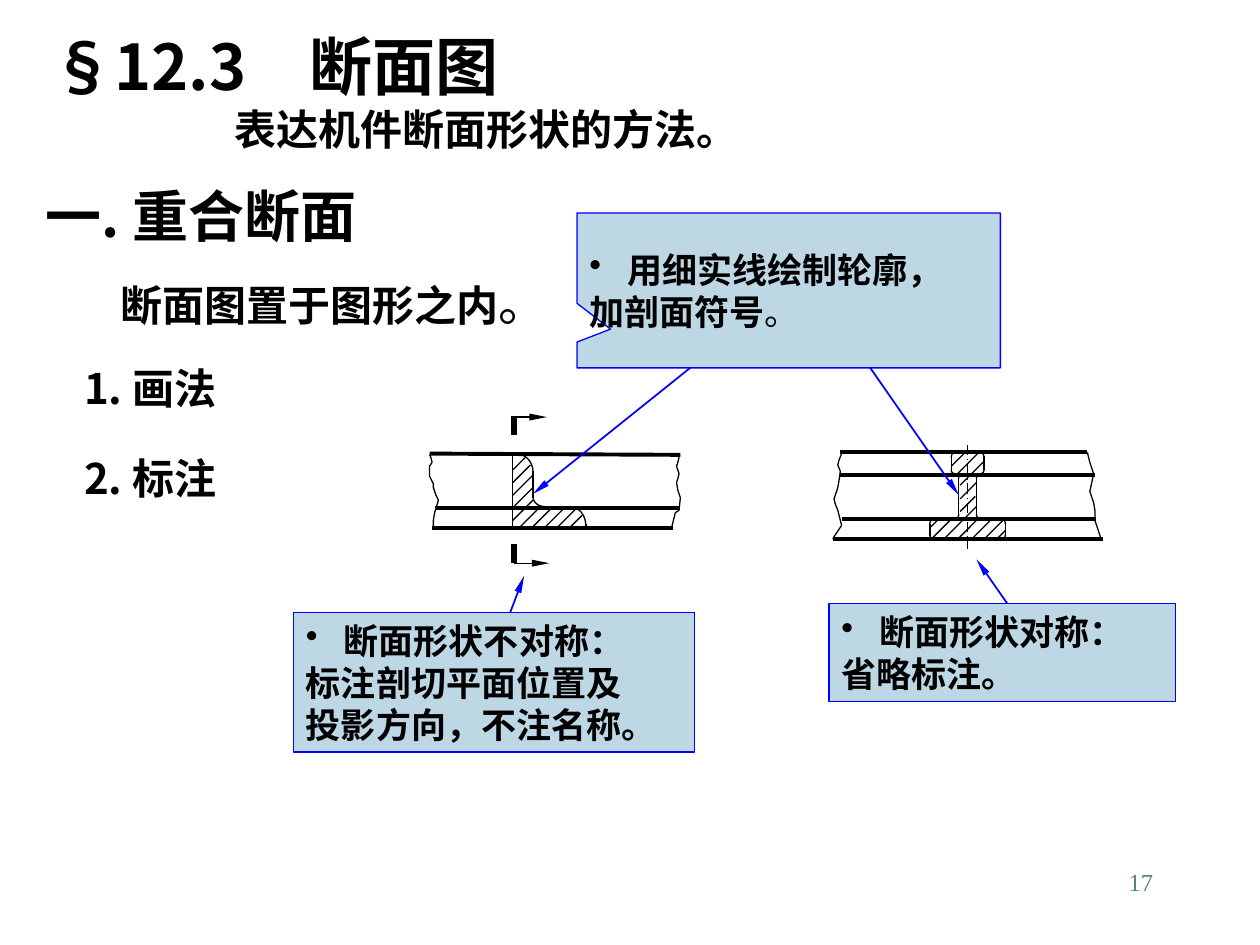
import math
from typing import NamedTuple, Optional, Sequence

import pptx
import pptx.dml.color
import pptx.enum.dml
import pptx.enum.shapes
import pptx.enum.text
import pptx.oxml.xmlchemy
import pptx.util
from pptx.util import Inches

BLACK = pptx.dml.color.RGBColor(0x00, 0x00, 0x00)
BLUE = pptx.dml.color.RGBColor(0x00, 0x00, 0xFF)
PALE_BLUE = pptx.dml.color.RGBColor(0xBD, 0xD7, 0xE5)
GREEN = pptx.dml.color.RGBColor(0x57, 0x89, 0x63)
CJK_FONT = "Noto Sans CJK SC"
THIN, THICK, CUT = 0.75, 2.25, 3
MIDDLE = pptx.enum.text.MSO_ANCHOR.MIDDLE
TOP = pptx.enum.text.MSO_ANCHOR.TOP
RECTANGLE = pptx.enum.shapes.MSO_SHAPE.RECTANGLE
CALLOUT = pptx.enum.shapes.MSO_SHAPE.RECTANGULAR_CALLOUT

Point = tuple[float, float]


class Run(NamedTuple):
    text: str
    size: float
    bold: bool = True
    font: str = CJK_FONT
    color: pptx.dml.color.RGBColor = BLACK


class Line(NamedTuple):
    runs: Sequence[Run]
    indent: float = 0
    bullet: bool = False


class Box(NamedTuple):
    left: float
    top: float
    width: float
    height: float
    lines: Sequence[Line]
    anchor: pptx.enum.text.MSO_ANCHOR = TOP


class Note(NamedTuple):
    box: Box
    outline: pptx.enum.shapes.MSO_SHAPE = RECTANGLE
    adjustments: Sequence[float] = ()


def note_lines(*texts: str) -> list[Line]:
    return [Line([Run(text, 20)], 0.3 if i == 0 else 0, i == 0)
            for i, text in enumerate(texts)]


HEADINGS = [
    Box(0.26, 1.39, 9.74, 0.63, [Line([Run("一. 重合断面", 32)])]),
    Box(0.64, 2.11, 6.96, 0.57,
        [Line([Run("断面图置于图形之内", 24), Run("。", 28, False)], 0.22)]),
    Box(0.57, 2.83, 9.43, 0.5, [Line([Run("1. 画法", 24)])]),
    Box(0.57, 3.54, 9.43, 0.5, [Line([Run("2. 标注", 24)])]),
    Box(0.31, 0.17, 9.69, 1.1,
        [Line([Run("§12.3　断面图", 36)]),
         Line([Run("表达机件断面形状的方法。", 24)], 1.45)], MIDDLE),
]
DRAWING_NOTE = [*note_lines("用细实线绘制轮廓，"),
                Line([Run("加剖面符号", 20), Run("。", 20, False)])]
NOTES = [
    Note(Box(4.58, 1.69, 3.36, 1.23, DRAWING_NOTE, MIDDLE), CALLOUT, (-0.421, 0.25)),
    Note(Box(6.58, 4.79, 2.75, 0.78, note_lines("断面形状对称：", "省略标注。"), MIDDLE)),
    Note(Box(2.33, 4.86, 3.18, 1.11, note_lines(
        "断面形状不对称：", "标注剖切平面位置及", "投影方向，不注名称。"), MIDDLE)),
]
NOTE_ARROWS = [((3.89, 5.28), (4.16, 4.57)), ((5.49, 2.91), (4.23, 3.92)),
               ((6.9, 2.91), (7.61, 3.93)), ((8.42, 5.4), (7.75, 4.44))]
BAR_EDGES = [
    ((3.41, 3.6), (5.4, 3.61)), ((3.45, 4.03), (5.4, 4.03)), ((3.43, 4.19), (5.34, 4.19)),
    ((6.67, 3.59), (8.63, 3.59)), ((6.67, 3.77), (8.69, 3.77)),
    ((6.68, 4.12), (8.7, 4.12)), ((6.61, 4.28), (8.75, 4.28)),
]
BREAK_LINES = [
    [(3.41, 3.61), (3.42, 3.63), (3.43, 3.67), (3.41, 3.7), (3.41, 3.78), (3.44, 3.84),
     (3.44, 3.87), (3.46, 3.93), (3.48, 3.97), (3.45, 4.07), (3.44, 4.13), (3.44, 4.19)],
    [(5.39, 3.61), (5.39, 3.63), (5.38, 3.67), (5.37, 3.7), (5.39, 3.76), (5.38, 3.8),
     (5.37, 3.83), (5.38, 3.89), (5.4, 3.95), (5.39, 4.05), (5.36, 4.07), (5.33, 4.19)],
    [(6.68, 3.6), (6.66, 3.65), (6.65, 3.69), (6.67, 3.74), (6.66, 3.81), (6.65, 3.87),
     (6.62, 3.96), (6.63, 4.0), (6.65, 4.05), (6.68, 4.17), (6.62, 4.26), (6.61, 4.28)],
    [(8.63, 3.59), (8.65, 3.67), (8.68, 3.76), (8.65, 3.9), (8.68, 3.99), (8.69, 4.05),
     (8.69, 4.13), (8.74, 4.28)],
]
ANGLE_OUTLINE = [(4.07, 3.61), (4.07, 4.19), (4.65, 4.19)]
ANGLE_EDGES = [((4.23, 3.74), (4.23, 3.95)), ((4.32, 4.02), (4.52, 4.02)),
               ((4.07, 3.61), (4.09, 3.61)), ((4.65, 4.16), (4.65, 4.19))]
# Rounded corners: start, end, and the sharp corner they replace.
ANGLE_CORNERS = [((4.09, 3.6), (4.23, 3.74), (4.23, 3.6)),
                 ((4.52, 4.02), (4.65, 4.17), (4.65, 4.02)),
                 ((4.32, 4.02), (4.23, 3.94), (4.23, 4.02))]
# The rail is symmetric: x is the distance from its axis.
RAIL_AXIS = 7.68
RAIL_EDGES = [((0.13, 3.62), (0.13, 3.73)), ((0.07, 3.8), (0.07, 4.09)),
              ((0.1, 4.12), (0.27, 4.12)), ((0.3, 4.16), (0.3, 4.25))]
RAIL_CORNERS = [((0.1, 3.59), (0.13, 3.63), (0.13, 3.59)),
                ((0.1, 3.76), (0.13, 3.73), (0.13, 3.76)),
                ((0.1, 3.76), (0.07, 3.8), (0.07, 3.76)),
                ((0.1, 4.12), (0.07, 4.08), (0.07, 4.12)),
                ((0.27, 4.12), (0.3, 4.16), (0.3, 4.12)),
                ((0.27, 4.28), (0.3, 4.24), (0.3, 4.28))]
# Hatch lines rise at 45 degrees: lower x, lower y, run.
ANGLE_HATCH = [
    *((4.07, 3.73 + 0.1 * i, run) for i, run in enumerate((0.1, 0.14, 0.16, 0.16, 0.16))),
    *((4.12 + 0.1 * i, 4.19, run) for i, run in enumerate((0.17, 0.17, 0.17, 0.15, 0.1))),
]
RAIL_HATCH = [
    (7.55, 3.7, 0.11), (7.6, 3.76, 0.17), (7.62, 3.85, 0.19), (7.62, 3.96, 0.13),
    (7.62, 4.06, 0.12), (7.38, 4.19, 0.06), (7.39, 4.28, 0.16), (7.49, 4.28, 0.26),
    (7.6, 4.28, 0.16), (7.71, 4.28, 0.16), (7.81, 4.28, 0.16), (7.91, 4.28, 0.07),
]


def add_xml(parent, tag: str, **attributes: str) -> None:
    child = pptx.oxml.xmlchemy.OxmlElement(tag)
    for key, value in attributes.items():
        child.set(key, value)
    parent.append(child)


def write(frame, box: Box, align: Optional[pptx.enum.text.PP_ALIGN] = None) -> None:
    settings = {"word_wrap": True, "vertical_anchor": box.anchor,
                "margin_left": Inches(0.1), "margin_right": Inches(0.1),
                "margin_top": Inches(0.05), "margin_bottom": Inches(0.05)}
    for key, value in settings.items():
        setattr(frame, key, value)
    for i, line in enumerate(box.lines):
        paragraph = frame.paragraphs[0] if i == 0 else frame.add_paragraph()
        properties = paragraph._p.get_or_add_pPr()
        properties.set("marL", str(Inches(line.indent)))
        properties.set("indent", str(Inches(-line.indent if line.bullet else 0)))
        if line.bullet:
            add_xml(properties, "a:buChar", char="•")
        paragraph.alignment = align or pptx.enum.text.PP_ALIGN.LEFT
        for part in line.runs:
            run = paragraph.add_run()
            run.text = part.text
            style = {"size": pptx.util.Pt(part.size), "bold": part.bold, "name": part.font}
            for key, value in style.items():
                setattr(run.font, key, value)
            run.font.color.rgb = part.color
            add_xml(run._r.get_or_add_rPr(), "a:ea", typeface=part.font)


def add_text(shapes, box: Box, align=None) -> None:
    area = shapes.add_textbox(*map(Inches, box[:4]))
    write(area.text_frame, box, align)


def add_note(shapes, note: Note) -> None:
    panel = shapes.add_shape(note.outline, *map(Inches, note.box[:4]))
    for i, value in enumerate(note.adjustments):
        panel.adjustments[i] = value
    panel.shadow.inherit = False
    panel.fill.solid()
    panel.fill.fore_color.rgb = PALE_BLUE
    panel.line.color.rgb = BLUE
    panel.line.width = pptx.util.Pt(THIN)
    write(panel.text_frame, note.box)


def add_line(shapes, start: Point, end: Point, width: float = THIN, color=BLACK,
             arrow: bool = False, dash=None) -> None:
    stroke = shapes.add_connector(pptx.enum.shapes.MSO_CONNECTOR.STRAIGHT,
                                  *map(Inches, (*start, *end)))
    stroke.line.color.rgb = color
    stroke.line.width = pptx.util.Pt(width)
    if dash is not None:
        stroke.line.dash_style = dash
    if arrow:
        add_xml(stroke.line._get_or_add_ln(), "a:tailEnd", type="triangle", w="sm", len="lg")
    add_xml(stroke._element.spPr, "a:effectLst")


def add_path(shapes, points: Sequence[Point]) -> None:
    corners = [(Inches(x), Inches(y)) for x, y in points]
    builder = shapes.build_freeform(*corners[0])
    builder.add_line_segments(corners[1:], close=False)
    curve = builder.convert_to_shape()
    curve.shadow.inherit = False
    curve.fill.background()
    curve.line.color.rgb = BLACK
    curve.line.width = pptx.util.Pt(THIN)


def add_corner(shapes, start: Point, end: Point, corner: Point, steps: int = 8) -> None:
    """Draw a quarter ellipse that rounds off the given sharp corner."""
    angles = [math.pi / 2 * i / steps for i in range(steps + 1)]
    add_path(shapes, [tuple(s + e - c + (c - e) * math.cos(a) + (c - s) * math.sin(a)
                            for s, e, c in zip(start, end, corner)) for a in angles])


def add_hatch(shapes, lines: Sequence[tuple[float, float, float]]) -> None:
    for x, y, run in lines:
        add_line(shapes, (x, y), (x + run, y - run))


def add_angle_section(shapes) -> None:
    add_path(shapes, ANGLE_OUTLINE)
    for corner in ANGLE_CORNERS:
        add_corner(shapes, *corner)
    for edge in ANGLE_EDGES:
        add_line(shapes, *edge)
    add_hatch(shapes, ANGLE_HATCH)
    for y in (3.3, 4.32):
        add_line(shapes, (4.08, y), (4.08, y + 0.15), CUT)
    for x, y in ((4.06, 3.31), (4.08, 4.47)):
        add_line(shapes, (x, y), (x + 0.28, y), arrow=True)


def add_rail_section(shapes) -> None:
    add_line(shapes, (RAIL_AXIS, 3.53), (RAIL_AXIS, 4.36),
             dash=pptx.enum.dml.MSO_LINE.LONG_DASH_DOT)
    for half, y in ((0.1, 3.59), (0.27, 4.28)):
        add_line(shapes, (RAIL_AXIS - half, y), (RAIL_AXIS + half, y))
    for side in (-1, 1):
        for draw, parts in ((add_line, RAIL_EDGES), (add_corner, RAIL_CORNERS)):
            for part in parts:
                draw(shapes, *((RAIL_AXIS + side * x, y) for x, y in part))
    add_hatch(shapes, RAIL_HATCH)


def main() -> None:
    deck = pptx.Presentation()
    deck.slide_width, deck.slide_height = Inches(10), Inches(7.5)
    shapes = deck.slides.add_slide(deck.slide_layouts[6]).shapes
    page_number = Run("17", 14, False, "Times New Roman", GREEN)
    add_text(shapes, Box(7.17, 6.83, 2.08, 0.5, [Line([page_number])]),
             pptx.enum.text.PP_ALIGN.RIGHT)
    for heading in HEADINGS:
        add_text(shapes, heading)
    for edge in BAR_EDGES:
        add_line(shapes, *edge, THICK)
    for outline in BREAK_LINES:
        add_path(shapes, outline)
    add_angle_section(shapes)
    add_rail_section(shapes)
    # The notes cover the arrow tails, so they come last.
    for arrow in NOTE_ARROWS:
        add_line(shapes, *arrow, 1, BLUE, arrow=True)
    for note in NOTES:
        add_note(shapes, note)
    deck.save("out.pptx")


if __name__ == "__main__":
    main()
